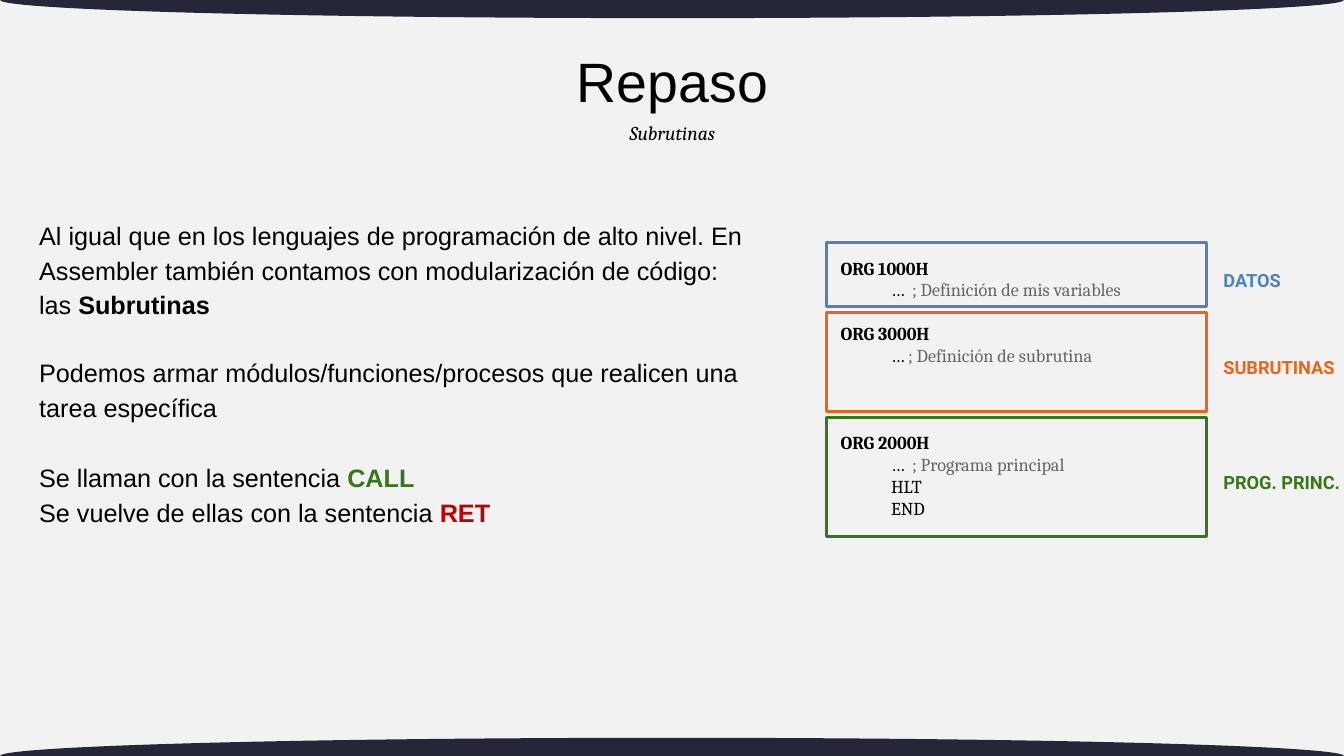
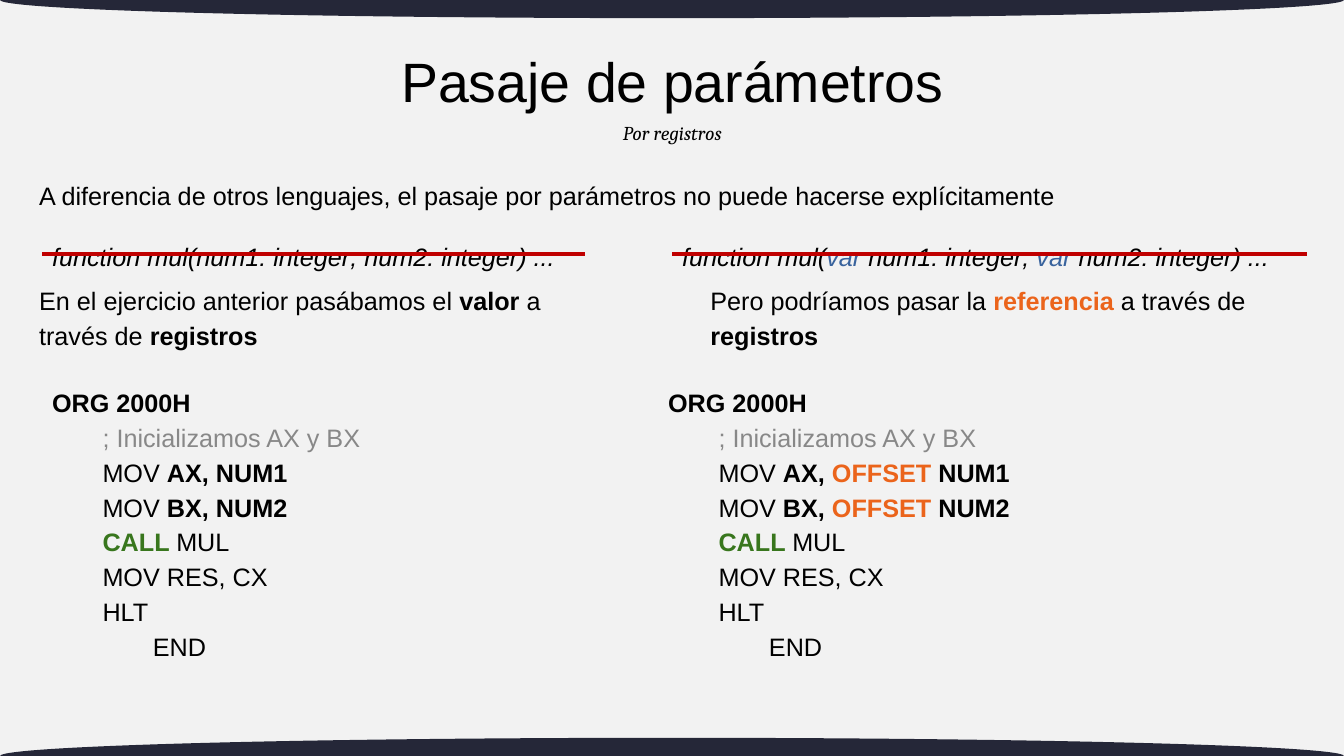
from dataclasses import dataclass

from lxml.etree import SubElement
from pptx import Presentation
from pptx.dml.color import RGBColor
from pptx.enum.shapes import MSO_CONNECTOR as Connector, MSO_SHAPE as Shape
from pptx.enum.text import MSO_ANCHOR as Anchor, MSO_AUTO_SIZE as AutoSize, PP_ALIGN as Align
from pptx.oxml.ns import qn
from pptx.util import Pt

COLORS = {
    "page": "F2F2F2", "band": "252738", "black": "000000", "blue": "4F81BD",
    "orange": "EB641B", "green": "38761D", "red": "C00000", "navy": "39639D",
    "gray": "666666", "light gray": "888888",
}
WIDTH, HEIGHT = 960, 540
TAB = 36
CODE_LINE = 15.6


@dataclass
class Span:
    """A piece of text with one colour and weight."""
    text: str
    color: str = "black"
    bold: bool = False


@dataclass
class Line:
    """A paragraph made of spans, with its indent in tabs and space before."""
    spans: list
    tabs: int = 0
    before: float = 0


@dataclass
class Style:
    """The type settings of a whole text box."""
    font: str
    size: float
    spacing: float = 1
    italic: bool = False
    align: Align = Align.LEFT
    anchor: Anchor = Anchor.TOP
    inset: float = 3.6


TITLE = Style("Arial", 39.6, 0.9, align=Align.CENTER, anchor=Anchor.MIDDLE)
SUBTITLE = Style("Cambria", 14, italic=True, align=Align.CENTER)
BODY = Style("Arial", 18, 1.15, anchor=Anchor.MIDDLE)
SIGNATURE = Style("Arial", 18, 1.15, italic=True, anchor=Anchor.MIDDLE)
LISTING = Style("Cambria", 13, inset=7.2)
LABEL = Style("Roboto", 13, inset=7.2)


def rgb(name):
    """Return the named colour."""
    return RGBColor.from_string(COLORS[name])


def bold(text, color="black"):
    """Return a bold span."""
    return Span(text, color, True)


def write(shape, lines, style):
    """Fill a shape with formatted paragraphs."""
    frame = shape.text_frame
    frame.word_wrap = True
    frame.auto_size = AutoSize.NONE
    frame.vertical_anchor = style.anchor
    frame.margin_left = frame.margin_right = Pt(7.2)
    frame.margin_top = frame.margin_bottom = Pt(style.inset)
    for number, line in enumerate(lines):
        para = frame.add_paragraph() if number else frame.paragraphs[0]
        para.alignment = style.align
        para.line_spacing = style.spacing
        para.space_before = Pt(line.before)
        if line.tabs:
            properties = para._p.get_or_add_pPr()
            properties.set("marL", str(Pt(line.tabs * TAB)))
            properties.set("indent", "0")
        for span in line.spans:
            run = para.add_run()
            run.text = span.text
            font = run.font
            font.name, font.size = style.font, Pt(style.size)
            font.bold, font.italic = span.bold, style.italic
            font.color.rgb = rgb(span.color)


def add_text(page, box, lines, style=BODY):
    """Add a text box at the given left, top, width and height."""
    write(page.shapes.add_textbox(*map(Pt, box)), lines, style)


def add_figure(page, kind, box, fill=None, line=None):
    """Add a flat preset shape with an optional fill and outline."""
    shape = page.shapes.add_shape(kind, *map(Pt, box))
    shape.shadow.inherit = False
    if fill:
        shape.fill.solid()
        shape.fill.fore_color.rgb = rgb(fill)
    else:
        shape.fill.background()
    if line:
        shape.line.color.rgb = rgb(line)
        shape.line.width = Pt(2.25)
    else:
        shape.line.fill.background()
    return shape


def add_strike(page, left, top, width):
    """Cross out text with a horizontal red line."""
    strike = page.shapes.add_connector(
        Connector.STRAIGHT, Pt(left), Pt(top), Pt(left + width), Pt(top))
    strike.line.color.rgb = rgb("red")
    strike.line.width = Pt(2.25)
    SubElement(strike.element.spPr, qn("a:effectLst"))


def dress_master(deck, page):
    """Give the master its background and its two curved bands."""
    master = deck.slide_master
    master.background.fill.solid()
    master.background.fill.fore_color.rgb = rgb("page")
    depth = 26
    for edge in (0, HEIGHT):
        band = add_figure(page, Shape.OVAL, (0, edge - depth / 2, WIDTH, depth), "band")
        master.shapes.element.insert(2, band.element)


def add_page(deck, title, subtitle):
    """Add a slide with its centred title and subtitle."""
    page = deck.slides.add_slide(deck.slide_layouts[5])
    heading = page.shapes.title
    heading.left, heading.top, heading.width, heading.height = map(Pt, (247, 26.6, 466.6, 67.7))
    write(heading, [Line([Span(title)])], TITLE)
    add_text(page, (316.8, 82.8, 327, 24.5), [Line([Span(subtitle)])], SUBTITLE)
    return page


def add_program_map(page, box, sections):
    """Draw the outlined and labelled program sections with their listing."""
    left, top, width, height = box
    label_height = 22.3
    listing = []
    for name, color, offset, depth, lines in sections:
        add_figure(page, Shape.RECTANGLE, (left, top + offset, width, depth), line=color)
        middle = top + offset + depth / 2
        add_text(page, (left + width + 5, middle - label_height / 2, 102, label_height),
                 [Line([bold(name, color)])], LABEL)
        listing += lines
    add_text(page, (left + 3, top + 3, width - 11, height - 3), listing, LISTING)


def section_lines(address, comment, blanks=0, dots="…  "):
    """Return the opening lines of a program section."""
    return [Line([bold(f"ORG {address}")], before=blanks * CODE_LINE),
            Line([Span(dots), Span(comment, "gray")], 1)]


def multiply_code(offset=()):
    """Return the calling program, with optional spans before each operand."""
    moves = [Line([Span("MOV "), bold(f"{register}, "), *offset, bold(number)], 1)
             for register, number in (("AX", "NUM1"), ("BX", "NUM2"))]
    return [Line([bold("ORG 2000H")]),
            Line([Span("; Inicializamos AX y BX", "light gray")], 1),
            *moves,
            Line([bold("CALL ", "green"), Span("MUL")], 1),
            Line([Span("MOV RES, CX")], 1),
            Line([Span("HLT")], 1),
            Line([Span("END")], 2)]


def add_passing_column(page, box, signature, remark, code, remark_shift, code_shift):
    """Place a crossed-out signature, a remark and the code below it."""
    left, top, width, height = box
    add_text(page, (left, top, width, 38.2), [Line(signature)], SIGNATURE)
    add_strike(page, left, top + 18.7, width)
    add_text(page, (left + remark_shift, top + 36, 412.6, 54), [Line(remark)])
    add_text(page, (left + code_shift, top + 108.7, 473, height - 108.7), code)


def build_review(deck):
    """Build the slide that reviews subroutines."""
    page = add_page(deck, "Repaso", "Subrutinas")
    dress_master(deck, page)
    left, width = 20.9, 561.6
    add_text(page, (left, 142.6, width, 97.2), [
        Line([Span("Al igual que en los lenguajes de programación de alto nivel. En "
                   "Assembler también contamos con modularización de código:")]),
        Line([Span("las "), bold("Subrutinas")])])
    add_text(page, (left, 247, width - 10, 59.8), [
        Line([Span("Podemos armar módulos/funciones/procesos que realicen una "
                   "tarea específica")])])
    add_text(page, (left, 321.8, width, 59.8), [
        Line([Span("Se llaman con la sentencia "), bold("CALL", "green")]),
        Line([Span("Se vuelve de ellas con la sentencia "), bold("RET", "red")])])
    add_program_map(page, (590.4, 173.3, 271.4, 210), [
        ("DATOS", "blue", 0, 45.4,
         section_lines("1000H", "; Definición de mis variables")),
        ("SUBRUTINAS", "orange", 49.9, 70.6,
         section_lines("3000H", "; Definición de subrutina", 1, "… ")),
        ("PROG. PRINC.", "green", 125, 85,
         section_lines("2000H", "; Programa principal", 3)
         + [Line([Span(word)], 1) for word in ("HLT", "END")]),
    ])


def build_registers(deck):
    """Build the slide that compares passing by value and by reference."""
    page = add_page(deck, "Pasaje de parámetros", "Por registros")
    add_text(page, (20.9, 118.8, 920.9, 38.2), [
        Line([Span("A diferencia de otros lenguajes, el pasaje por parámetros "
                   "no puede hacerse explícitamente")])])
    add_passing_column(
        page, (30.2, 162.7, 388, 311.7),
        [Span("function mul(num1: integer; num2: integer) ...")],
        [Span("En el ejercicio anterior pasábamos el "), bold("valor "),
         Span("a través de "), bold("registros")],
        multiply_code(), -9.3, 0)
    add_passing_column(
        page, (480.2, 162.7, 453.6, 311.7),
        [Span("function mul("), Span("var", "navy"), Span(" num1: integer; "),
         Span("var ", "navy"), Span("num2: integer) ...")],
        [Span("Pero podríamos pasar la "), bold("referencia ", "orange"),
         Span("a través de "), bold("registros")],
        multiply_code([bold("OFFSET ", "orange")]), 20.2, -10)


def main():
    """Build and save the deck."""
    deck = Presentation()
    deck.slide_width, deck.slide_height = Pt(WIDTH), Pt(HEIGHT)
    build_review(deck)
    build_registers(deck)
    deck.save("out.pptx")


main()
